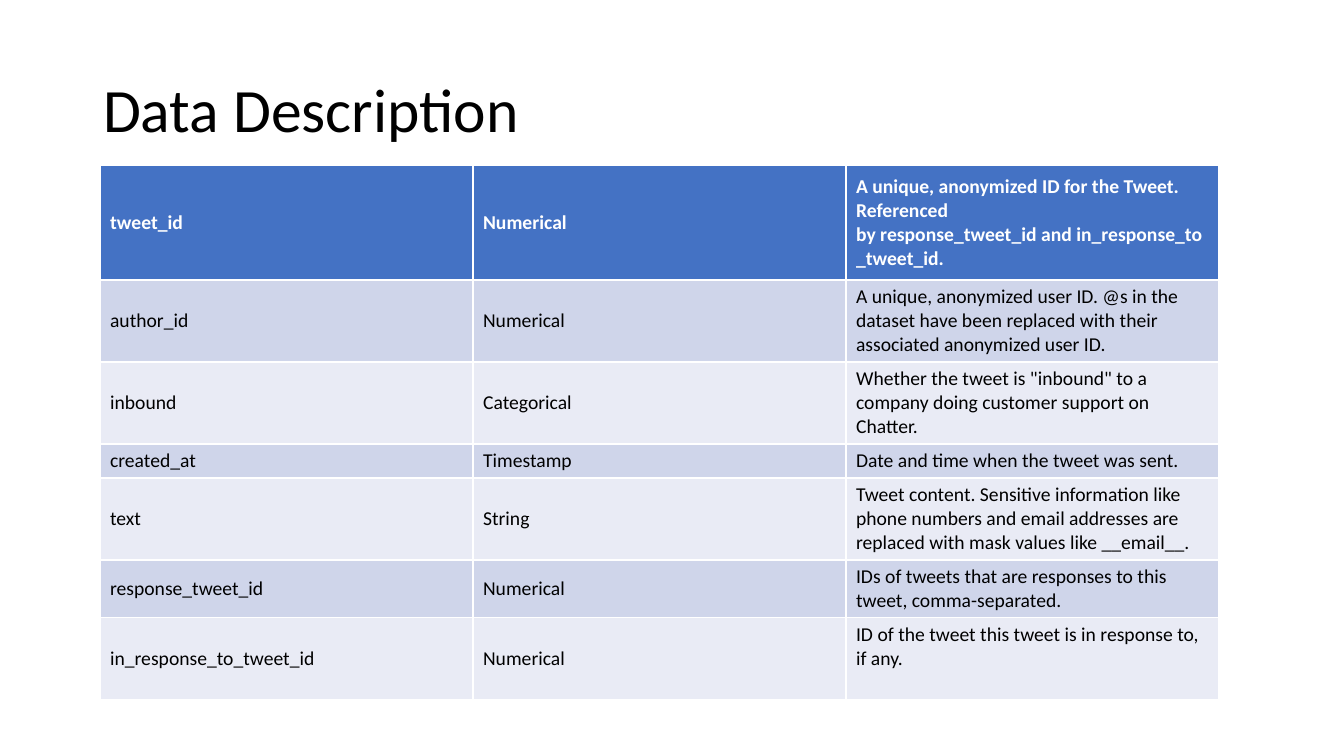
from pptx import Presentation
from pptx import util as u
from pptx.dml.color import RGBColor
from pptx.enum import text

# Content: field, type, description
NBSP = chr(160)
HEADING = "Data Description"
FIELDS = [
    ("tweet_id", "Numerical",
     "A unique, anonymized ID for the Tweet. Referenced "
     f"by{NBSP}response_tweet_id{NBSP}and{NBSP}in_response_to_tweet_id."),
    ("author_id", "Numerical",
     "A unique, anonymized user ID. @s in the dataset have been replaced "
     "with their associated anonymized user ID."),
    ("inbound", "Categorical",
     'Whether the tweet is "inbound" to a company doing customer support '
     f"on Chatter.{NBSP}"),
    ("created_at", "Timestamp",
     f"Date and time when the tweet{NBSP}was{NBSP}sent."),
    ("text", "String",
     f"Tweet{NBSP}content. Sensitive information like phone numbers and email "
     f"addresses are replaced with mask values like{NBSP}__email__."),
    ("response_tweet_id", "Numerical",
     "IDs of tweets that are responses to this tweet, comma-separated."),
    ("in_response_to_tweet_id", "Numerical",
     "ID of the tweet this tweet is in response to, if any."),
]

# Layout in px
SLIDE = (1344, 756)
TITLE_BOX = (93, 40, 1260, 146)
TABLE_LEFT, TABLE_TOP, COLUMN_WIDTH = 100, 165, 373
ROW_HEIGHTS = [115, 82, 82, 34, 82, 57, 82]
COLORS = {"header": "4472C4", "odd": "CFD5EA", "even": "E9EBF5",
          "white": "FFFFFF", "black": "000000"}


def px(length):
    return u.Emu(round(length * 914400 / 100.8))


def color(name):
    return RGBColor.from_string(COLORS[name])


def write(frame, words, *, size, ink="black", bold=False, spacing=None):
    paragraph = frame.paragraphs[0]
    paragraph.alignment = text.PP_ALIGN.LEFT
    paragraph.line_spacing = spacing
    run = paragraph.add_run()
    run.text = words
    run.font.name = "Calibri"
    run.font.size = u.Pt(size)
    run.font.bold = bold
    run.font.color.rgb = color(ink)


deck = Presentation()
deck.slide_width, deck.slide_height = map(px, SLIDE)
slide = deck.slides.add_slide(deck.slide_layouts[5])

# Title
title = slide.shapes.title
title.left, title.top, title.width, title.height = map(px, TITLE_BOX)
title.text_frame.vertical_anchor = text.MSO_ANCHOR.MIDDLE
write(title.text_frame, HEADING, size=44, spacing=0.9)

# Table of fields
columns = len(FIELDS[0])
fields = slide.shapes.add_table(
    len(FIELDS), columns, px(TABLE_LEFT), px(TABLE_TOP),
    px(COLUMN_WIDTH * columns), px(sum(ROW_HEIGHTS))).table
for column in fields.columns:
    column.width = px(COLUMN_WIDTH)

for row, entry in enumerate(FIELDS):
    fields.rows[row].height = px(ROW_HEIGHTS[row])
    header = row == 0
    band = "header" if header else ("even", "odd")[row % 2]
    for col, words in enumerate(entry):
        cell = fields.cell(row, col)
        cell.fill.solid()
        cell.fill.fore_color.rgb = color(band)
        cell.vertical_anchor = text.MSO_ANCHOR.MIDDLE
        write(cell.text_frame, words + NBSP, size=14, bold=header,
              ink="white" if header else "black")

# The last description sits at the top of its tall row
fields.cell(len(FIELDS) - 1, columns - 1).vertical_anchor = text.MSO_ANCHOR.TOP

deck.save("out.pptx")
